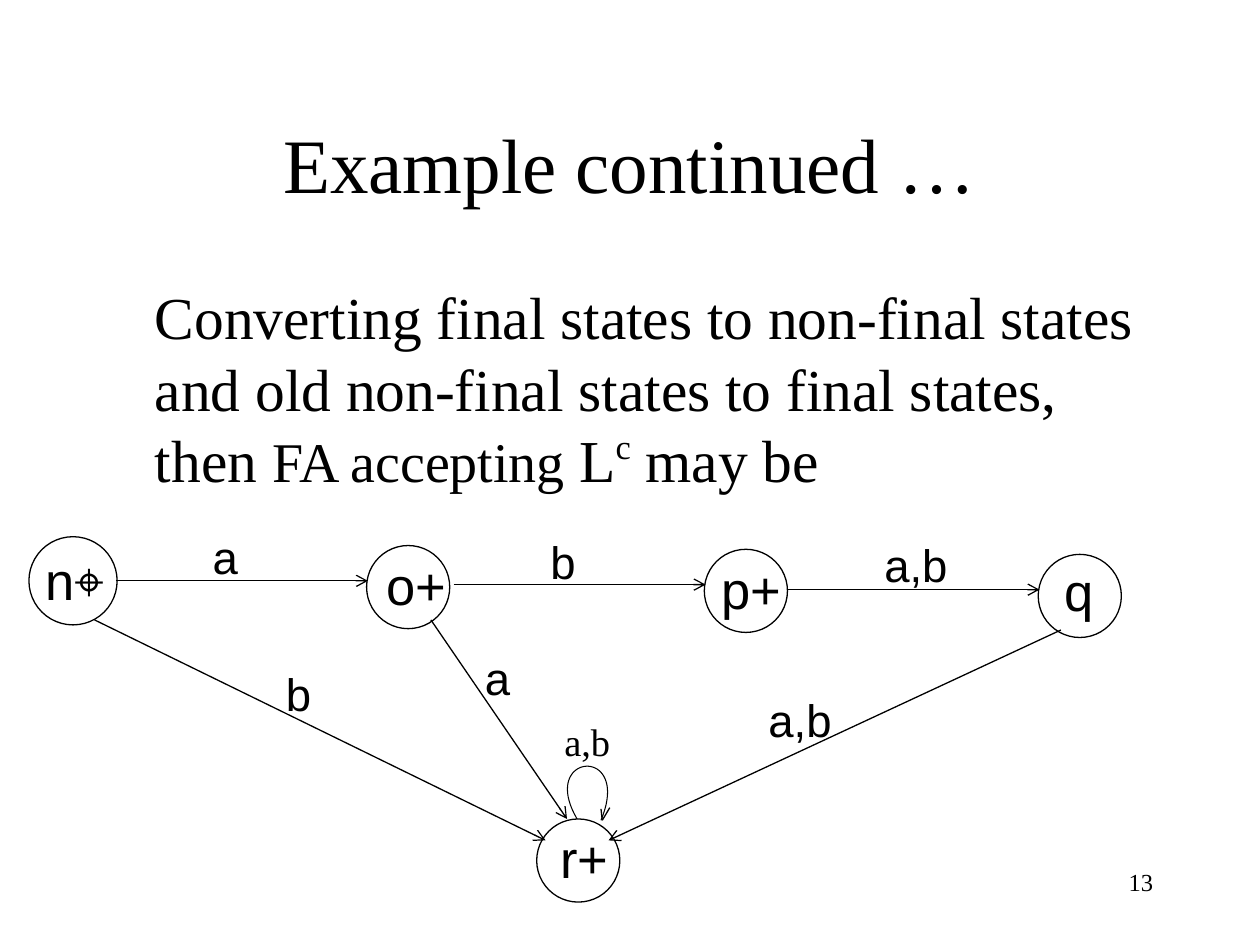
from dataclasses import dataclass

from lxml.etree import SubElement
from pptx import Presentation
from pptx.dml.color import RGBColor
from pptx.enum.shapes import MSO_CONNECTOR, MSO_SHAPE
from pptx.enum.text import MSO_ANCHOR, PP_ALIGN
from pptx.oxml.ns import qn
from pptx.util import Inches, Pt


@dataclass(frozen=True)
class Theme:
    ink: RGBColor = RGBColor(0, 0, 0)
    paper: RGBColor = RGBColor(255, 255, 255)
    serif: str = "Times New Roman"
    sans: str = "Arial"
    symbol: str = "Cambria"
    title: int = 44
    body: int = 34
    body_small: int = 32
    body_spacing: int = 41
    state: int = 30
    label: int = 26
    loop_label: int = 22
    number: int = 14
    line: float = 0.75
    loop_line: float = 0.6


@dataclass(frozen=True)
class Box:
    left: float
    top: float
    width: float
    height: float

    def inside(self, x, y, width, height):
        return Box(self.left + x, self.top + y, width, height)

    def point(self, x, y):
        return Inches(self.left + x), Inches(self.top + y)

    def frame(self):
        return tuple(Inches(n) for n in (self.left, self.top, self.width, self.height))


THEME = Theme()
STATE_TEXT = (1.17, 0.6)
LABEL_TEXT = (1.17, 0.54)

STATES = [
    ("n", "⌖", (0.03, 0.16), 0.7, (0.06, 0.2)),
    ("o+", "", (2.71, 0.23), 0.66, (2.77, 0.24)),
    ("p+", "", (5.39, 0.26), 0.66, (5.43, 0.27)),
    ("q", "", (8.04, 0.3), 0.66, (8.15, 0.29)),
    ("r+", "", (4.06, 2.4), 0.66, (4.15, 2.41)),
]
TRANSITIONS = [
    ("a", (0.72, 0.51), (2.72, 0.51), (1.39, 0.05)),
    ("b", (3.4, 0.54), (5.4, 0.54), (4.07, 0.09)),
    ("a,b", (6.05, 0.58), (8.05, 0.58), (6.72, 0.11)),
    ("b", (0.55, 0.82), (4.13, 2.57), (1.97, 1.14)),
    ("a", (3.22, 0.82), (4.3, 2.4), (3.55, 1.01)),
    ("a,b", (8.22, 0.9), (4.63, 2.57), (5.8, 1.34)),
]
LOOP_CURVE = [(4.38, 2.4), (4.07, 1.87), (4.82, 1.81), (4.57, 2.41)]
LOOP_TIP = (4.58, 2.41)
LOOP_BARBS = [(4.64, 2.31), (4.57, 2.32)]
LOOP_STEPS = 40


def add_run(paragraph, text, size, font, baseline=0):
    run = paragraph.add_run()
    run.text = text
    run.font.size = Pt(size)
    run.font.name = font
    run.font.color.rgb = THEME.ink
    if baseline:
        run._r.get_or_add_rPr().set("baseline", str(baseline * 1000))


def add_text(slide, box, runs, alignment=PP_ALIGN.LEFT):
    text_frame = slide.shapes.add_textbox(*box.frame()).text_frame
    text_frame.word_wrap = True
    paragraph = text_frame.paragraphs[0]
    paragraph.alignment = alignment
    for run in runs:
        add_run(paragraph, *run)
    return text_frame


def add_line(slide, start, end, arrow=False):
    connector = slide.shapes.add_connector(MSO_CONNECTOR.STRAIGHT, *start, *end)
    connector.line.color.rgb = THEME.ink
    connector.line.width = Pt(THEME.line)
    if arrow:
        SubElement(connector.line._get_or_add_ln(), qn("a:tailEnd"), type="arrow")
    SubElement(connector._element.spPr, qn("a:effectLst"))


def add_title(slide, box):
    title = slide.shapes.title
    title.left, title.top, title.width, title.height = box.frame()
    title.text_frame.vertical_anchor = MSO_ANCHOR.MIDDLE
    paragraph = title.text_frame.paragraphs[0]
    paragraph.alignment = PP_ALIGN.CENTER
    add_run(paragraph, "Example continued …", THEME.title, THEME.serif)


def add_body(slide, box):
    runs = [
        ("Converting final states to non-final states and old non-final states "
         "to final states, then ", THEME.body, THEME.serif),
        ("FA accepting ", THEME.body_small, THEME.serif),
        ("L", THEME.body, THEME.serif),
        ("c", THEME.body, THEME.serif, 40),
        (" may be", THEME.body, THEME.serif),
    ]
    text_frame = add_text(slide, box, runs)
    text_frame.margin_left = Inches(0.48)
    text_frame.paragraphs[0].line_spacing = Pt(THEME.body_spacing)


def add_state(slide, box, name, mark, corner, diameter, text_corner):
    circle_box = box.inside(*corner, diameter, diameter)
    circle = slide.shapes.add_shape(MSO_SHAPE.OVAL, *circle_box.frame())
    circle.shadow.inherit = False
    circle.fill.solid()
    circle.fill.fore_color.rgb = THEME.paper
    circle.line.color.rgb = THEME.ink
    circle.line.width = Pt(THEME.line)
    runs = [(name, THEME.state, THEME.sans)]
    if mark:
        runs.append((mark, THEME.state, THEME.symbol))
    add_text(slide, box.inside(*text_corner, *STATE_TEXT), runs)


def curve_point(controls, t):
    weights = ((1 - t) ** 3, 3 * t * (1 - t) ** 2, 3 * t ** 2 * (1 - t), t ** 3)
    return tuple(sum(w * c[axis] for w, c in zip(weights, controls)) for axis in (0, 1))


def add_loop(slide, box):
    points = [box.point(*curve_point(LOOP_CURVE, step / LOOP_STEPS))
              for step in range(LOOP_STEPS + 1)]
    builder = slide.shapes.build_freeform(*points[0])
    builder.add_line_segments(points[1:], close=False)
    loop = builder.convert_to_shape()
    loop.shadow.inherit = False
    loop.fill.background()
    loop.line.color.rgb = THEME.ink
    loop.line.width = Pt(THEME.loop_line)
    for barb in LOOP_BARBS:
        add_line(slide, box.point(*LOOP_TIP), box.point(*barb))
    add_text(slide, box.inside(4.18, 1.55, 0.98, 0.67),
             [("a,b", THEME.loop_label, THEME.serif)])


def add_automaton(slide, box):
    for state in STATES:
        add_state(slide, box, *state)
    for label, start, end, corner in TRANSITIONS:
        add_line(slide, box.point(*start), box.point(*end), arrow=True)
        add_text(slide, box.inside(*corner, *LABEL_TEXT),
                 [(label, THEME.label, THEME.sans)])
    add_loop(slide, box)


def add_page_number(slide, box):
    add_text(slide, box, [("13", THEME.number, THEME.serif)], PP_ALIGN.RIGHT)


def main():
    presentation = Presentation()
    presentation.slide_width = Inches(10)
    presentation.slide_height = Inches(7.5)
    slide = presentation.slides.add_slide(presentation.slide_layouts[5])
    slide.background.fill.solid()
    slide.background.fill.fore_color.rgb = THEME.paper
    add_page_number(slide, Box(7.17, 6.83, 2.08, 0.5))
    add_title(slide, Box(0.75, 0.67, 8.5, 1.25))
    add_body(slide, Box(0.75, 2.17, 8.5, 4.5))
    add_automaton(slide, Box(0.2, 4.1, 9.4, 3.1))
    presentation.save("out.pptx")


if __name__ == "__main__":
    main()
